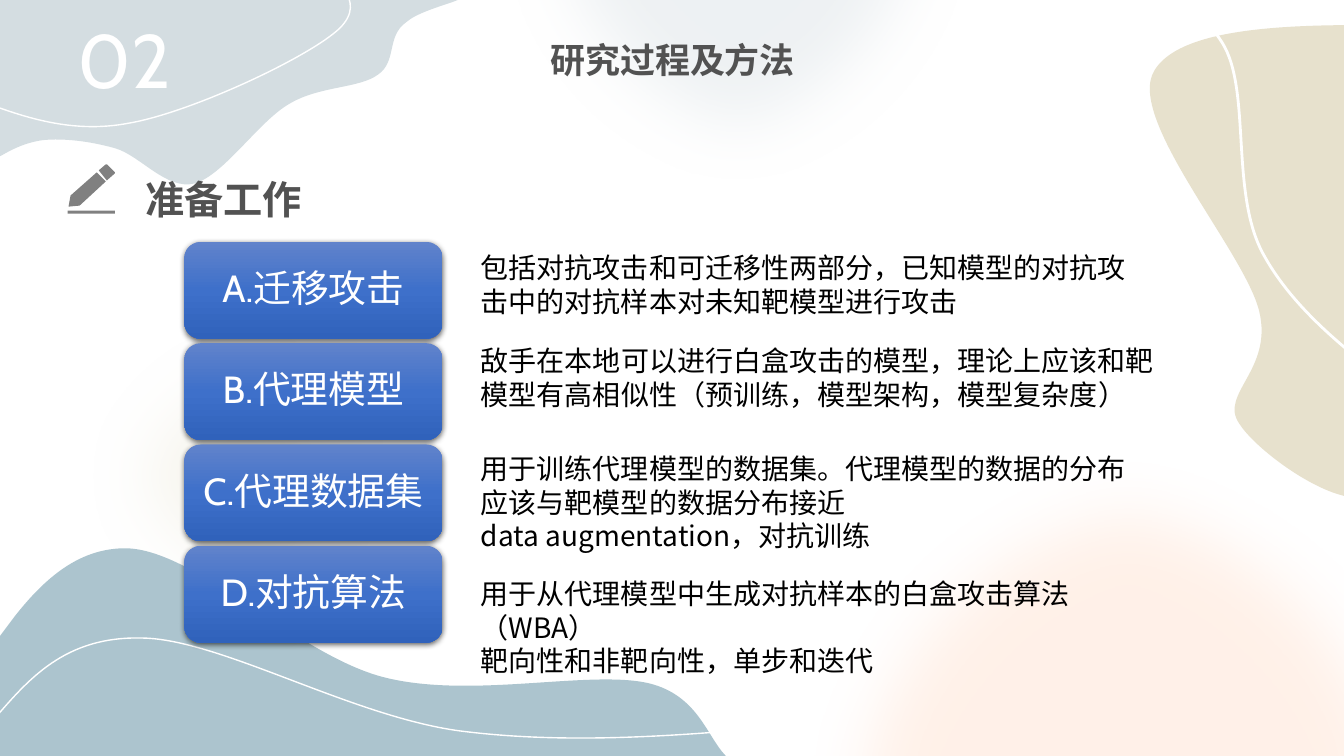
from pptx import Presentation
from pptx.dml.color import RGBColor as RGB
from pptx.enum.shapes import MSO_SHAPE as Kind
from pptx.enum.text import MSO_ANCHOR as Anchor, PP_ALIGN as Align
from pptx.oxml import parse_xml
from pptx.oxml.ns import nsdecls, qn
from pptx.oxml.xmlchemy import OxmlElement as Node
from pptx.util import Cm, Pt
from copy import deepcopy

HUES = {
    "white": "FFFFFF", "black": "000000", "title": "525252", "icon": "808080",
    "sand": "E7E1CD", "mist": "D4DDE1", "sea": "ACC4CE", "peach": "FFB681",
    "top": "6183CB", "mid": "3E70CA", "low": "3062BB",
}
SANS, NOTO = "Cabin", "Noto Sans CJK SC"

GLOWS = [
    (0.61, 2.95, 3.53, "sand", 33),
    (4.83, -2.94, 4.96, "mist", 41),
    (7.81, 4.33, 6.75, "peach", 18),
]
BLOBS = [
    ("sand", "M 13.33 .25, L 13.33 4.92, L 13.26 4.9, C 12.89 4.78 12.42 4.41 12.29 4.2,"
             "C 12.09 3.91 12.63 3.67 12.49 3.09, C 12.35 2.5 11.16 1.17 11.45 .7,"
             "C 11.66 .35 12.41 .26 13.29 .25, Z"),
    ("sea", "M 1.22 5.44, C 1.91 5.42 2.94 6.5 3.81 6.72, C 4.68 6.94 5.85 6.64 6.44 6.78,"
            "C 6.92 6.9 7.01 7.3 7.19 7.49, L 7.22 7.52, L 0 7.52, L 0 6.31, L .15 6.11,"
            "C .45 5.73 .78 5.45 1.22 5.44, Z"),
    ("mist", "M 0 0, L 4.54 0, L 4.49 .02, C 4.31 .08 4.12 .14 4.03 .22,"
             "C 3.83 .36 3.94 .61 3.75 .74, C 3.56 .88 3.17 .85 2.87 1.03,"
             "C 2.57 1.2 2.22 1.74 1.93 1.82, C 1.65 1.89 1.39 1.54 1.14 1.47,"
             "C .89 1.4 .63 1.37 .43 1.39, C .27 1.41 .14 1.47 .02 1.54, L 0 1.55, Z"),
]
WAVES = [
    (1, "M -.33 .95, C .17 1.14 .68 1.34 1.29 1.22, C 1.91 1.11 3.08 .56 3.37 .28,"
        "C 3.65 0 3.32 -.23 2.99 -.46"),
    (1, "M -.08 7.16, C .28 6.74 .64 6.31 1.41 6.33, C 2.18 6.34 3.47 7.1 4.55 7.25,"
        "C 5.63 7.39 6.74 7.3 7.86 7.2"),
    (2, "M 10.78 -.25, C 11.3 -.15 11.83 -.04 12.12 .42, C 12.42 .89 12.19 1.93 12.54 2.54,"
        "C 12.88 3.15 13.53 3.62 14.18 4.09"),
]
PENCIL = ("M 1.05 1.8, L .96 1.71, L .7 1.94, L .68 2.05, L .79 2.04, Z,"
          "M 1.14 1.71, L 1.06 1.63, L 1.05 1.63, L .98 1.69, L 1.06 1.79, L 1.14 1.72, Z,"
          "M .67 2.09, L 1.14 2.09, L 1.14 2.12, L .67 2.12, Z")
HEADS = [
    ((4.11, 0.33, 5.12, 0.52), "研究过程及方法",
     dict(size=25, hue="title", bold=True, align=Align.CENTER)),
    ((0.67, 0.08, 1.17, 1.01), "02", dict(size=54, hue="white", wrap=False)),
    ((1.34, 1.69, 1.77, 0.57), "准备工作", dict(size=28, hue="title", bold=True, wrap=False)),
]
STEPS = ["A.迁移攻击", "B.代理模型", "C.代理数据集", "D.对抗算法"]
NOTES = [
    (2.44, 6.76, 0.77, [[("包括对抗攻击和可迁移性两部分，已知模型的对抗攻击中的对抗样本对未知靶模型进行攻击", NOTO)]]),
    (3.36, 6.95, 0.77, [[("敌手在本地可以进行白盒攻击的模型，理论上应该和靶模型有高相似性（", NOTO),
                         ("预训练，模型架构，模型复杂度", SANS), ("）", NOTO)]]),
    (4.43, 6.67, 1.11, [[("⽤于训练代理模型的数据集。代理模型的数据的分布应该与靶模型的数据分布接近", NOTO)],
                        [("data augmentation，", NOTO), ("对抗训练", SANS)]]),
    (5.67, 6.67, 1.11, [[("⽤于从代理模型中生成对抗样本的白盒攻击算法（WBA）", NOTO)],
                        [("靶向性和非靶向性，单步和迭代", NOTO)]]),
]


def inch(num):
    return Cm(num * 2.54)


def box(*nums):
    return [inch(num) for num in nums]


def tint(fill, hue):
    fill.solid()
    fill.fore_color.rgb = RGB.from_string(HUES[hue])


def write(shape, text, size=20, hue="black", bold=False, align=Align.LEFT,
          wrap=True, anchor=Anchor.TOP, pad=(0.1, 0.05), lead=None):
    frame = shape.text_frame
    frame.word_wrap, frame.vertical_anchor = wrap, anchor
    frame.margin_left = frame.margin_right = inch(pad[0])
    frame.margin_top = frame.margin_bottom = inch(pad[1])
    paras = [[(text, SANS)]] if isinstance(text, str) else text
    for num, runs in enumerate(paras):
        para = frame.add_paragraph() if num else frame.paragraphs[0]
        para.alignment = align
        if lead:
            para.line_spacing = lead
        for words, face in runs:
            run = para.add_run()
            run.text = words
            run.font.name, run.font.size, run.font.bold = face, Pt(size), bold
            run.font.color.rgb = RGB.from_string(HUES[hue])


def trace(shapes, data):
    pen, steps = None, []
    for part in data.split(","):
        code, *nums = part.split()
        flat = box(*map(float, nums))
        spots = list(zip(flat[::2], flat[1::2]))
        if code == "Z":
            pen.add_line_segments([], close=True)
        elif code != "M":
            pen.add_line_segments(spots, close=False)
            steps.append(len(spots))
        elif pen:
            pen.move_to(*spots[0])
        else:
            pen = shapes.build_freeform(*spots[0])
    shape = pen.convert_to_shape()
    lines = iter(list(shape.element.iter(qn("a:lnTo"))))
    for count in steps:
        group = [next(lines) for _ in range(count)]
        if count == 3:
            curve = Node("a:cubicBezTo")
            group[0].addprevious(curve)
            for line in group:
                curve.append(line[0])
                line.getparent().remove(line)
    shape.shadow.inherit = False
    return shape


def solid(shapes, data, hue):
    shape = trace(shapes, data)
    tint(shape.fill, hue)
    shape.line.fill.background()


def glow(shapes, left, top, size, hue, alpha):
    shape = shapes.add_shape(Kind.OVAL, *box(left, top, size, size))
    tint(shape.fill, hue)
    shape.line.fill.background()
    shape.shadow.inherit = False
    tone = next(shape.element.spPr.iter(qn("a:srgbClr")))
    tone.append(parse_xml(f'<a:alpha {nsdecls("a")} val="{alpha * 1000}"/>'))
    blur = parse_xml(f'<a:softEdge {nsdecls("a")} rad="635000"/>')
    shape.element.spPr.find(qn("a:effectLst")).append(blur)


def button(shapes, top, text):
    shape = shapes.add_shape(Kind.ROUNDED_RECTANGLE, *box(1.83, top, 2.56, 0.96))
    shape.fill.gradient()
    shape.fill.gradient_angle = 270
    stops = shape.element.spPr.find(qn("a:gradFill")).find(qn("a:gsLst"))
    stops.append(deepcopy(stops[0]))
    for stop, hue, place in zip(shape.fill.gradient_stops, ("top", "mid", "low"), (0, 0.5, 1)):
        stop.color.rgb = RGB.from_string(HUES[hue])
        stop.position = place
    shape.line.fill.background()
    shape.shadow.inherit = False
    shape.element.spPr.find(qn("a:effectLst")).append(parse_xml(
        f'<a:outerShdw {nsdecls("a")} blurRad="{Pt(4.5)}" dist="{Pt(1.5)}" dir="5400000" '
        f'algn="ctr" rotWithShape="0"><a:srgbClr val="{HUES["black"]}">'
        '<a:alpha val="63000"/></a:srgbClr></a:outerShdw>'))
    write(shape, text, size=27, hue="white", align=Align.CENTER,
          anchor=Anchor.MIDDLE, pad=(0.11, 0.06), lead=0.9)


def main():
    deck = Presentation()
    deck.slide_width, deck.slide_height = box(13.33, 7.5)
    shapes = deck.slides.add_slide(deck.slide_layouts[6]).shapes
    for spot in GLOWS:
        glow(shapes, *spot)
    for hue, data in BLOBS:
        solid(shapes, data, hue)
    for width, data in WAVES:
        wave = trace(shapes, data)
        wave.fill.background()
        tint(wave.line.fill, "white")
        wave.line.width = Pt(width)
    solid(shapes, PENCIL, "icon")
    for place, text, style in HEADS:
        write(shapes.add_textbox(*box(*place)), text, **style)
    for num, text in enumerate(STEPS):
        button(shapes, 2.4 + num * 1.005, text)
    for top, width, height, text in NOTES:
        write(shapes.add_textbox(*box(4.67, top, width, height)), text)
    deck.save("out.pptx")


if __name__ == "__main__":
    main()
